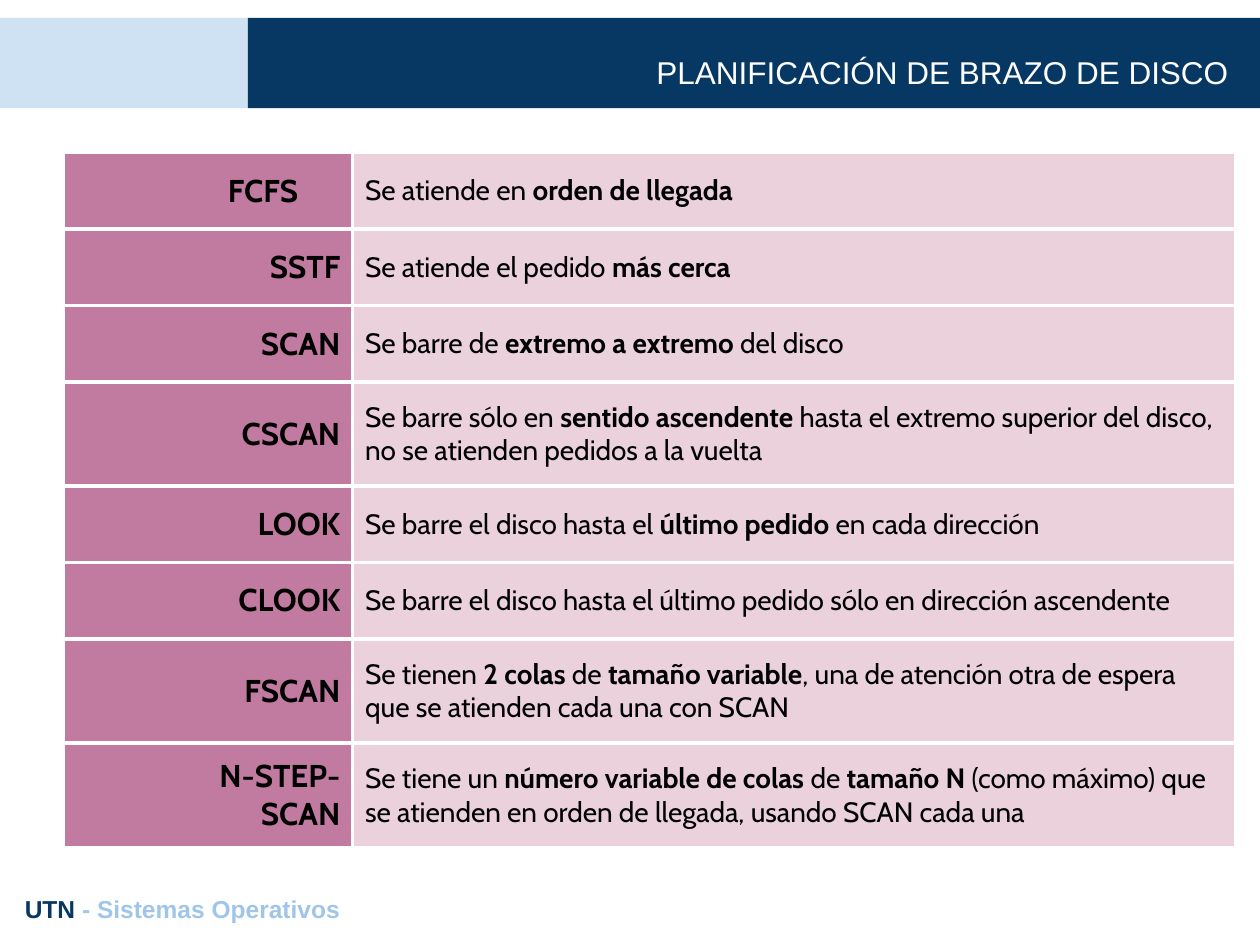
from dataclasses import dataclass

import pptx
import pptx.dml.color
import pptx.enum.shapes
import pptx.enum.text
import pptx.oxml
import pptx.oxml.ns
import pptx.util
from pptx.util import Cm

ANCHOR = pptx.enum.text.MSO_ANCHOR
ALIGN = pptx.enum.text.PP_ALIGN


@dataclass(frozen=True)
class Theme:
    navy: str = "073763"
    pale_blue: str = "CFE2F3"
    sky: str = "9FC5E8"
    mauve: str = "C27BA0"
    pink: str = "EAD1DC"
    white: str = "FFFFFF"
    black: str = "000000"
    heading_font: str = "Arial"
    table_font: str = "Cabin"
    title_size: int = 18
    name_size: int = 18
    body_size: int = 16
    footer_size: int = 14
    border_width: float = 2.25


THEME = Theme()
INSET = Cm(0.25)
NAME_INDENT = Cm(1.32)
FIRST_NAME_INSET = Cm(1.1)
SINGLE_ROW, DOUBLE_ROW = Cm(1.54), Cm(2.1)

# Text between double asterisks is bold.
ALGORITHMS = [
    ("FCFS", "Se atiende en **orden de llegada**", SINGLE_ROW),
    ("SSTF", "Se atiende el pedido **más cerca**", SINGLE_ROW),
    ("SCAN", "Se barre de **extremo a extremo** del disco", SINGLE_ROW),
    ("CSCAN", "Se barre sólo en **sentido ascendente **hasta el extremo superior "
     "del disco, no se atienden pedidos a la vuelta", DOUBLE_ROW),
    ("LOOK", "Se barre el disco hasta el **último pedido** en cada dirección", SINGLE_ROW),
    ("CLOOK", "Se barre el disco hasta el último pedido sólo en dirección ascendente",
     SINGLE_ROW),
    ("FSCAN", "Se tienen **2 colas** de **tamaño variable**, una de atención otra "
     "de espera que se atienden cada una con SCAN", DOUBLE_ROW),
    ("N-STEP-SCAN", "Se tiene un **número variable de colas **de **tamaño N** (como "
     "máximo) que se atienden en orden de llegada, usando SCAN cada una", DOUBLE_ROW),
]


def rgb(color):
    return pptx.dml.color.RGBColor.from_string(color)


def format_run(run, font, size, color, bold=False):
    run.font.name = font
    run.font.size = pptx.util.Pt(size)
    run.font.color.rgb = rgb(color)
    run.font.bold = bold


def set_insets(box):
    """Give a text frame or a table cell the same inset on every side."""
    box.margin_left = box.margin_right = box.margin_top = box.margin_bottom = INSET


def add_bar(slide, left, width, color):
    bar = slide.shapes.add_shape(
        pptx.enum.shapes.MSO_SHAPE.RECTANGLE, left, Cm(0.36), width, Cm(1.82))
    bar.shadow.inherit = False
    bar.fill.solid()
    bar.fill.fore_color.rgb = rgb(color)
    bar.line.fill.background()
    return bar


def set_title(slide, text):
    title = slide.shapes.title
    title.left, title.top, title.width, title.height = Cm(3.43), Cm(0.81), Cm(21.59), Cm(1.27)
    frame = title.text_frame
    frame.text = text
    frame.auto_size = pptx.enum.text.MSO_AUTO_SIZE.NONE
    frame.vertical_anchor = ANCHOR.BOTTOM
    set_insets(frame)
    paragraph = frame.paragraphs[0]
    paragraph.alignment = ALIGN.RIGHT
    format_run(paragraph.runs[0], THEME.heading_font, THEME.title_size, THEME.white)
    return title


def set_borders(cell):
    properties = cell._tc.get_or_add_tcPr()
    width = pptx.util.Pt(THEME.border_width)
    for position, side in enumerate(("lnL", "lnR", "lnT", "lnB")):
        border = pptx.oxml.parse_xml(
            f'<a:{side} {pptx.oxml.ns.nsdecls("a")} w="{width}"><a:solidFill>'
            f'<a:srgbClr val="{THEME.white}"/></a:solidFill></a:{side}>')
        properties.insert(position, border)


def format_cell(cell, color):
    set_insets(cell)
    cell.vertical_anchor = ANCHOR.MIDDLE
    cell.fill.solid()
    cell.fill.fore_color.rgb = rgb(color)
    set_borders(cell)


def fill_name(cell, name):
    format_cell(cell, THEME.mauve)
    cell.text_frame.text = name
    paragraph = cell.text_frame.paragraphs[0]
    paragraph.alignment = ALIGN.RIGHT
    paragraph._p.get_or_add_pPr().set("marL", str(int(NAME_INDENT)))
    format_run(paragraph.runs[0], THEME.table_font, THEME.name_size, THEME.black, bold=True)


def fill_description(cell, description):
    format_cell(cell, THEME.pink)
    paragraph = cell.text_frame.paragraphs[0]
    for position, text in enumerate(description.split("**")):
        if text:
            run = paragraph.add_run()
            run.text = text
            format_run(run, THEME.table_font, THEME.body_size, THEME.black,
                       bold=position % 2 == 1)


def add_algorithm_table(slide):
    column_widths = Cm(5.84), Cm(17.81)
    table = slide.shapes.add_table(
        len(ALGORITHMS), 2, Cm(1.27), Cm(3.08), sum(column_widths),
        sum(height for _, _, height in ALGORITHMS)).table
    table.first_row = table.horz_banding = False
    for column, width in zip(table.columns, column_widths):
        column.width = width
    for row, (name, description, height) in zip(table.rows, ALGORITHMS):
        row.height = height
        fill_name(row.cells[0], name)
        fill_description(row.cells[1], description)
    table.cell(0, 0).margin_right = FIRST_NAME_INSET


def add_footer(slide):
    frame = slide.shapes.add_textbox(Cm(0.25), Cm(17.78), Cm(24.92), Cm(1.12)).text_frame
    frame.word_wrap = True
    set_insets(frame)
    for text, color in (("UTN ", THEME.navy), ("- Sistemas Operativos", THEME.sky)):
        run = frame.paragraphs[0].add_run()
        run.text = text
        format_run(run, THEME.heading_font, THEME.footer_size, color, bold=True)


def main():
    presentation = pptx.Presentation()
    presentation.slide_width, presentation.slide_height = Cm(25.4), Cm(19.05)
    slide = presentation.slides.add_slide(presentation.slide_layouts[5])

    title = set_title(slide, "PLANIFICACIÓN DE BRAZO DE DISCO")
    split = Cm(5)
    for left, width, color in ((0, split, THEME.pale_blue),
                               (split, presentation.slide_width - split, THEME.navy)):
        bar = add_bar(slide, left, width, color)
        title._element.addprevious(bar._element)
    add_algorithm_table(slide)
    add_footer(slide)
    presentation.save("out.pptx")


if __name__ == "__main__":
    main()
